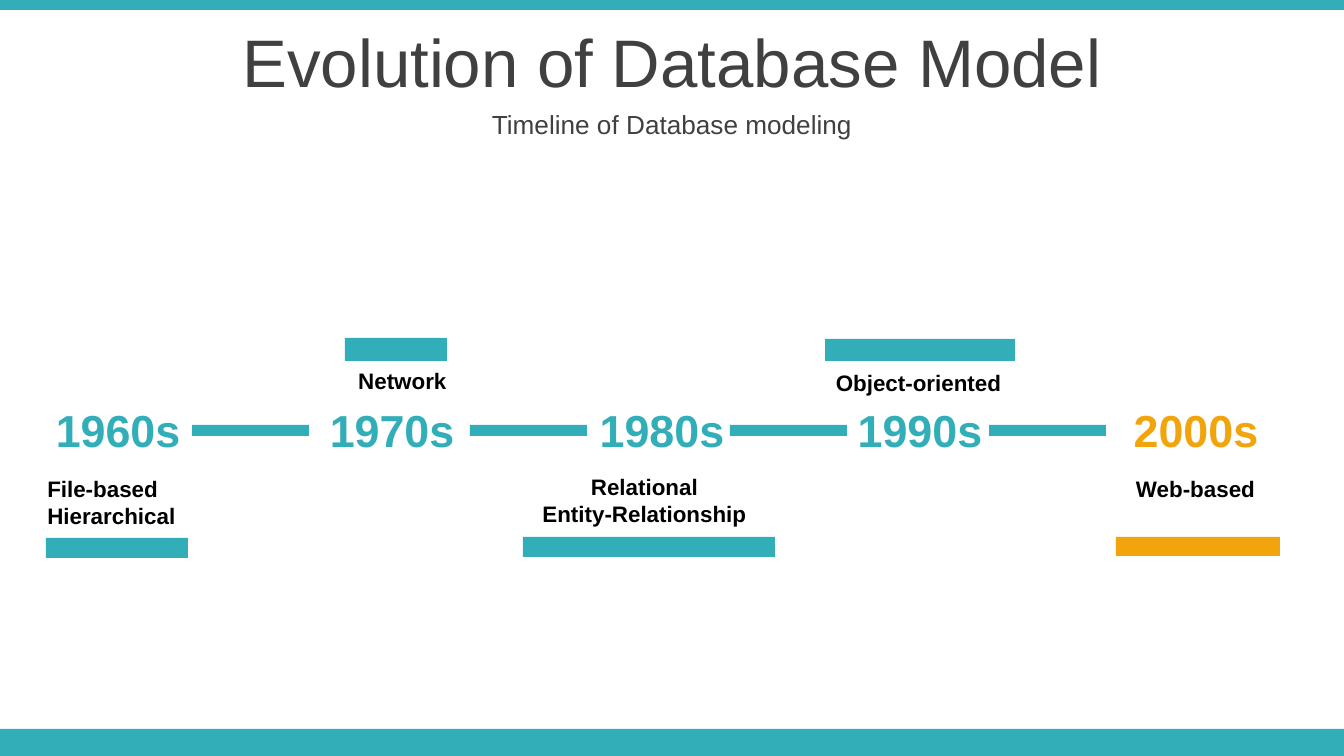
from pptx import Presentation
from pptx import util as u
from pptx.dml.color import RGBColor
from pptx.enum import shapes, text

TEAL = RGBColor(0x32, 0xAE, 0xB8)
GOLD = RGBColor(0xF2, 0xA4, 0x0D)
GRAY = RGBColor(0x40, 0x40, 0x40)
BLACK = RGBColor(0, 0, 0)
WIDE, HIGH = 1344, 756
LEFT, MID = text.PP_ALIGN.LEFT, text.PP_ALIGN.CENTER
TOP, CENTER = text.MSO_ANCHOR.TOP, text.MSO_ANCHOR.MIDDLE


def px(n):
    return u.Emu(round(n * 914400 / 134.4))


class Deck:
    font = "Arial"

    def __init__(self):
        self.prs = Presentation()
        self.prs.slide_width = px(WIDE)
        self.prs.slide_height = px(HIGH)
        self.slide = self.prs.slides.add_slide(self.prs.slide_layouts[5])

    def bar(self, x, y, w, h, color=TEAL):
        bar = self.slide.shapes.add_shape(
            shapes.MSO_SHAPE.RECTANGLE, px(x), px(y), px(w), px(h))
        bar.shadow.inherit = False
        bar.fill.solid()
        bar.fill.fore_color.rgb = color
        bar.line.fill.background()

    def words(self, frame, lines, size, color, bold, align, anchor):
        frame.word_wrap = True
        frame.auto_size = text.MSO_AUTO_SIZE.NONE
        frame.vertical_anchor = anchor
        for i, line in enumerate(lines):
            para = frame.add_paragraph() if i else frame.paragraphs[0]
            para.alignment = align
            para.space_before = u.Pt(0)
            run = para.add_run()
            run.text = line
            run.font.name = self.font
            run.font.size = u.Pt(size)
            run.font.bold = bold
            run.font.color.rgb = color

    def title(self, x, y, w, h, line):
        head = self.slide.shapes.title
        head.left, head.top, head.width, head.height = map(px, (x, y, w, h))
        self.words(head.text_frame, [line], 36, GRAY, False, MID, CENTER)

    def label(self, x, y, w, h, lines, size=12, color=BLACK, bold=True,
              align=MID, anchor=TOP):
        box = self.slide.shapes.add_textbox(px(x), px(y), px(w), px(h))
        self.words(box.text_frame, lines, size, color, bold, align, anchor)


def main():
    deck = Deck()
    deck.bar(0, 729, WIDE, 27)
    deck.bar(0, 0, WIDE, 10)
    deck.title(0, 19, WIDE, 84, "Evolution of Database Model")
    deck.label(0, 103, WIDE, 42, ["Timeline of Database modeling"],
               14, GRAY, False, MID, CENTER)

    years = [
        (34, 168, "1960s", TEAL),
        (308, 168, "1970s", TEAL),
        (582, 160, "1980s", TEAL),
        (840, 160, "1990s", TEAL),
        (1116, 160, "2000s", GOLD),
    ]
    for x, w, year, color in years:
        deck.label(x, 396, w, 67, [year], 24, color)

    for x in (192, 470, 730, 989):
        deck.bar(x, 425, 117, 11)

    models = [
        ((34, 469, 255, 67), ["File-based", "Hierarchical"], LEFT,
         (46, 538, 142, 20), TEAL),
        ((345, 361, 117, 40), ["Network"], LEFT,
         (345, 338, 102, 23), TEAL),
        ((519, 467, 251, 67), ["Relational", "Entity-Relationship"], MID,
         (523, 537, 252, 20), TEAL),
        ((1068, 469, 255, 67), ["Web-based"], MID,
         (1116, 537, 164, 19), GOLD),
        ((791, 363, 255, 40), ["Object-oriented"], MID,
         (825, 339, 190, 22), TEAL),
    ]
    for area, lines, align, strip, color in models:
        deck.label(*area, lines, align=align)
        deck.bar(*strip, color)

    deck.prs.save("out.pptx")


if __name__ == "__main__":
    main()
